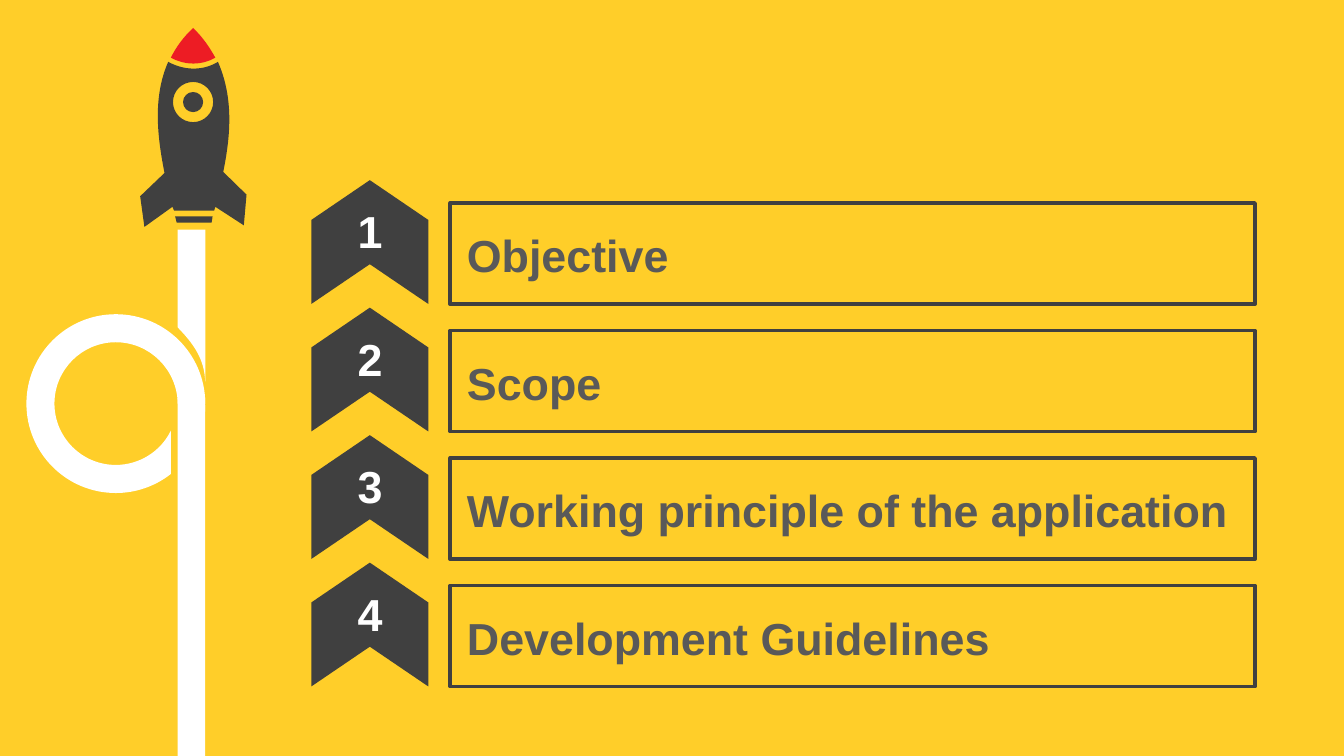
from itertools import pairwise
from math import cos, radians, sin, tan

from lxml.etree import SubElement
from pptx import Presentation
from pptx.dml.color import RGBColor
from pptx.enum.shapes import MSO_SHAPE as Kind
from pptx.enum.text import MSO_ANCHOR as Anchor, PP_ALIGN as Align
from pptx.oxml.ns import qn
from pptx.util import Cm, Pt

DARK, WHITE, RED, GREY, GOLD = "404040", "FFFFFF", "ED1C24", "595959", "FFCE29"
TOPICS = [
    ("Objective", 14),
    ("Scope", 14),
    ("Working principle of the application", 15.39),
    ("Development Guidelines", 15.39),
]


def color(code):
    return RGBColor.from_string(code)


def paint(shape, fill=None, line=None):
    shape.shadow.inherit = False
    if fill:
        shape.fill.solid()
        shape.fill.fore_color.rgb = color(fill)
    else:
        shape.fill.background()
    if line:
        shape.line.color.rgb = color(line)
        shape.line.width = Pt(2)
    else:
        shape.line.fill.background()


def add(slide, kind, box, fill=None, line=None):
    shape = slide.shapes.add_shape(kind, *map(Cm, box))
    paint(shape, fill, line)
    return shape


def write(shape, text, ink, align, anchor):
    frame = shape.text_frame
    frame.word_wrap = True
    frame.vertical_anchor = anchor
    para = frame.paragraphs[0]
    para.text = text
    para.alignment = align
    font = para.font
    font.name, font.size, font.bold = "Arial", Pt(24), True
    font.color.rgb = color(ink)


def arc(x, y, size, *turns):
    steps = []
    for start, end in pairwise(map(radians, turns)):
        k = 4 / 3 * tan((end - start) / 4)
        steps.append((
            x + size * (cos(start) - k * sin(start)),
            y + size * (sin(start) + k * cos(start)),
            x + size * (cos(end) + k * sin(end)),
            y + size * (sin(end) - k * cos(end)),
            x + size * cos(end),
            y + size * sin(end),
        ))
    return steps


def draw(slide, left, top, loops, fill):
    pen = None
    for loop in loops:
        points = [(Cm(left + x), Cm(top + y))
                  for step in loop for x, y in zip(step[::2], step[1::2])]
        if pen:
            pen.move_to(*points[0])
        else:
            pen = slide.shapes.build_freeform(*points[0])
        pen.add_line_segments(points[1:], close=False)
        pen.add_line_segments([], close=True)
    shape = pen.convert_to_shape()
    paint(shape, fill)
    lines = iter(list(shape._element.iter(qn("a:lnTo"))))
    for step in (step for loop in loops for step in loop[1:]):
        first = next(lines)
        if len(step) == 6:
            bend = SubElement(first.getparent(), qn("a:cubicBezTo"))
            first.addprevious(bend)
            for line in (first, next(lines), next(lines)):
                bend.append(line[0])
                line.getparent().remove(line)


def add_trail(slide, left, top, height):
    near, far, mid = 2.85, 3.37, 3.29
    ring = [(2.72, 4.62), *arc(1.68, mid, 1.69, 52, 90, 180, 270, 360),
            (near, mid), *arc(1.68, mid, 1.16, 360, 270, 180, 90, 26.3)]
    tail = [(3.25, 3.33), (far, 3.33), (far, 3.53, 3.33, 3.73, 3.25, 3.94)]
    stem = [(near, 0), (far, 0), (far, 2.87),
            (3.35, 2.44, 3.15, 2.16, near, 1.85)]
    draw(slide, left, top, [tail, ring], WHITE)
    draw(slide, left, top, [stem], WHITE)
    base = (left + near, top + 3.18, far - near, height - 3.18)
    add(slide, Kind.RECTANGLE, base, WHITE)


def add_rocket(slide, left, top):
    hull = [(0.53, 0.64), (0.84, 0.81, 1.19, 0.81, 1.47, 0.64),
            (1.78, 1.35, 1.7, 2.08, 1.57, 2.72),
            (2.01, 3.15), (1.96, 3.73), (1.42, 3.38), (1.4, 3.45),
            (0.64, 3.45), (0.61, 3.38), (0.08, 3.76), (0, 3.18), (0.46, 2.74),
            (0.33, 2.08, 0.23, 1.32, 0.53, 0.64)]
    jet = [(0.66, 3.56), (1.37, 3.56), (1.35, 3.68), (0.69, 3.68)]
    glass = [[(1 + size, 1.4), *arc(1, 1.4, size, 0, 90, 180, 270, 360)]
             for size in (0.19, 0.38)]
    nose = [(1, 0), (1.19, 0.18, 1.32, 0.38, 1.42, 0.56),
            (1.17, 0.71, 0.84, 0.71, 0.58, 0.56),
            (0.68, 0.36, 0.81, 0.18, 1, 0)]
    draw(slide, left, top, [jet, *glass, hull], DARK)
    draw(slide, left, top, [nose], RED)


def add_topic(slide, left, top, number, text, width):
    bar = left + 2.69
    add(slide, Kind.RECTANGLE, (bar, top + 0.37, 15.21, 1.91), line=DARK)
    label = add(slide, Kind.ROUND_2_SAME_RECTANGLE, (bar, top + 0.64, width, 1.35))
    write(label, text, GREY, Align.LEFT, Anchor.MIDDLE)
    arrow = add(slide, Kind.CHEVRON, (left, top, 2.34, 2.21), DARK)
    arrow.adjustments[0] = 0.34
    arrow.rotation = 270
    box = map(Cm, (left + 0.4, top + 0.26, 1.55, 1.27))
    digit = slide.shapes.add_textbox(*box)
    write(digit, str(number), WHITE, Align.CENTER, Anchor.TOP)


def add_list(slide, left, top, pitch):
    for i, (text, width) in enumerate(TOPICS):
        add_topic(slide, left, top + i * pitch, i + 1, text, width)


def main():
    deck = Presentation()
    deck.slide_width, deck.slide_height = Cm(25.4), Cm(14.29)
    slide = deck.slides.add_slide(deck.slide_layouts[6])
    back = slide.background.fill
    back.solid()
    back.fore_color.rgb = color(GOLD)
    add_trail(slide, 0.51, 4.34, 9.95)
    add_rocket(slide, 2.65, 0.53)
    add_list(slide, 5.82, 3.47, 2.41)
    deck.save("out.pptx")


if __name__ == "__main__":
    main()
